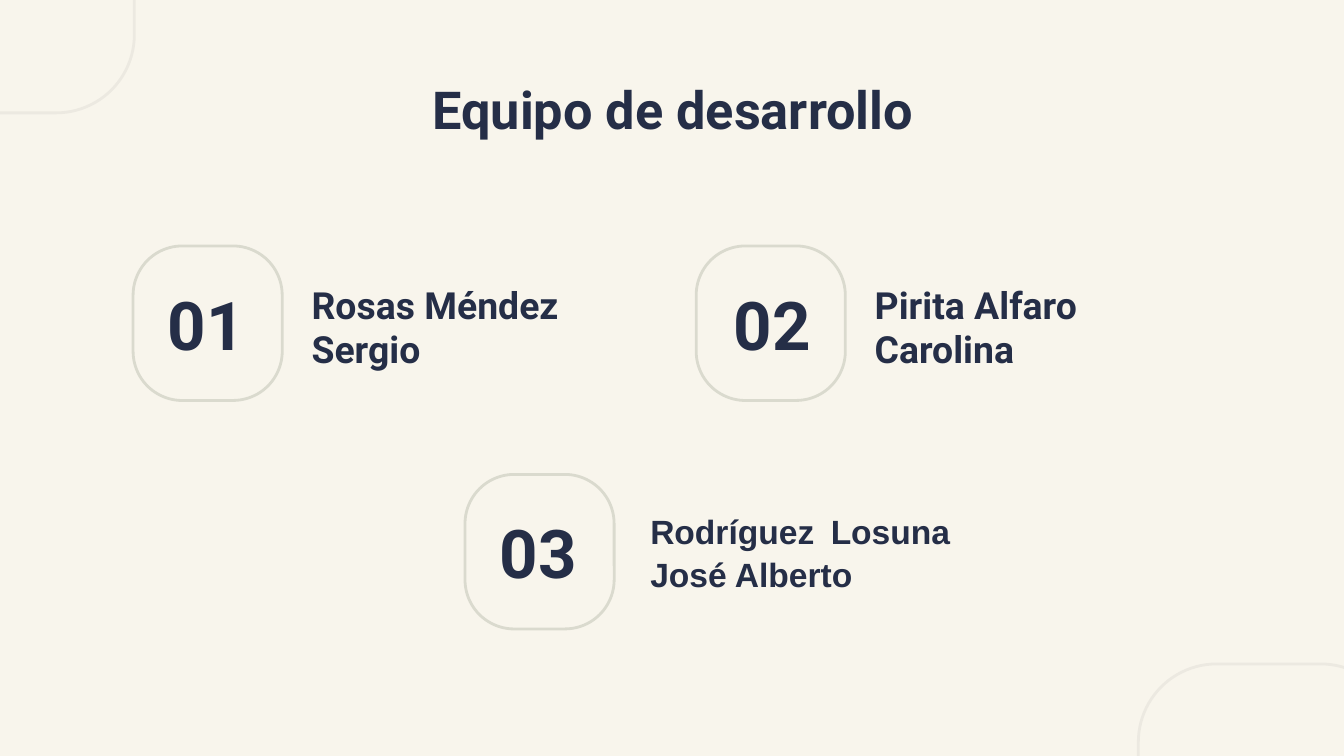
import dataclasses

import pptx
import pptx.dml.color
import pptx.enum.shapes
import pptx.enum.text
import pptx.util

Inches = pptx.util.Inches
Pt = pptx.util.Pt
Align = pptx.enum.text.PP_ALIGN


@dataclasses.dataclass(frozen=True)
class Theme:
    background: str = "F8F5EC"
    corner: str = "ECE9E1"
    badge: str = "DADACE"
    ink: str = "252E47"
    font: str = "Roboto"
    alternate_font: str = "Arial"
    title_size: int = 28
    number_size: int = 36
    name_size: int = 20
    small_name_size: int = 18
    line_width: float = 1.5


THEME = Theme()


def color(value):
    return pptx.dml.color.RGBColor.from_string(value)


def add_outline(page, left, top, width, height, rounding, line_color):
    """Add an unfilled rounded rectangle."""
    shape = page.shapes.add_shape(
        pptx.enum.shapes.MSO_SHAPE.ROUNDED_RECTANGLE,
        Inches(left), Inches(top), Inches(width), Inches(height))
    shape.adjustments[0] = rounding
    shape.shadow.inherit = False
    shape.fill.background()
    shape.line.color.rgb = color(line_color)
    shape.line.width = Pt(THEME.line_width)


def write(box, text, size, align, font=THEME.font):
    """Fill a box with one bold, vertically centred paragraph and return it."""
    frame = box.text_frame
    frame.word_wrap = True
    frame.auto_size = pptx.enum.text.MSO_AUTO_SIZE.NONE
    frame.vertical_anchor = pptx.enum.text.MSO_ANCHOR.MIDDLE
    frame.margin_left = frame.margin_right = Inches(0.1)
    frame.margin_top = frame.margin_bottom = Inches(0.1)
    para = frame.paragraphs[0]
    para.alignment = align
    span = para.add_run()
    span.text = text
    span.font.name = font
    span.font.size = Pt(size)
    span.font.bold = True
    span.font.color.rgb = color(THEME.ink)
    return para


def add_text(page, left, top, width, height, *style):
    box = page.shapes.add_textbox(
        Inches(left), Inches(top), Inches(width), Inches(height))
    return write(box, *style)


def add_corners(page):
    for left, top in ((-0.94, -1.48), (8.47, 4.94)):
        add_outline(page, left, top, 1.94, 2.32, 0.3, THEME.corner)


def place_title(page, left, top, width, height, text):
    title = page.shapes.title
    title.left, title.top = Inches(left), Inches(top)
    title.width, title.height = Inches(width), Inches(height)
    write(title, text, THEME.title_size, Align.CENTER)


def add_badge(page, left, top, number, shift):
    """Add a numbered frame, its number box moved sideways by shift."""
    add_outline(page, left, top, 1.11, 1.15, 0.33, THEME.badge)
    add_text(page, left + shift, top, 1.15, 1.15,
             f"{number:02d}", THEME.number_size, Align.CENTER)


def add_member(page, left, top, number, name, shift):
    add_badge(page, left, top, number, shift)
    add_text(page, left + 1.23, top + 0.31, 2.52, 0.58,
             name, THEME.name_size, Align.LEFT)


def add_justified_member(page, left, top, number, name, shift):
    add_badge(page, left, top, number, shift)
    para = add_text(page, left + 1.28, top + 0.28, 2.43, 0.58, name,
                    THEME.small_name_size, Align.JUSTIFY, THEME.alternate_font)
    para.line_spacing = 1.07
    para.space_after = Pt(8)


def main():
    deck = pptx.Presentation()
    deck.slide_width = Inches(10)
    deck.slide_height = deck.slide_width * 9 // 16
    page = deck.slides.add_slide(deck.slide_layouts.get_by_name("Title Only"))
    page.background.fill.solid()
    page.background.fill.fore_color.rgb = color(THEME.background)

    add_corners(page)
    place_title(page, 0.79, 0.49, 8.43, 0.63, "Equipo de desarrollo")
    add_member(page, 0.99, 1.83, 1, "Rosas Méndez Sergio", -0.03)
    add_member(page, 5.18, 1.83, 2, "Pirita Alfaro Carolina", -0.01)
    add_justified_member(page, 3.46, 3.53, 3,
                         "Rodríguez Losuna José Alberto", -0.03)
    deck.save("out.pptx")


if __name__ == "__main__":
    main()
